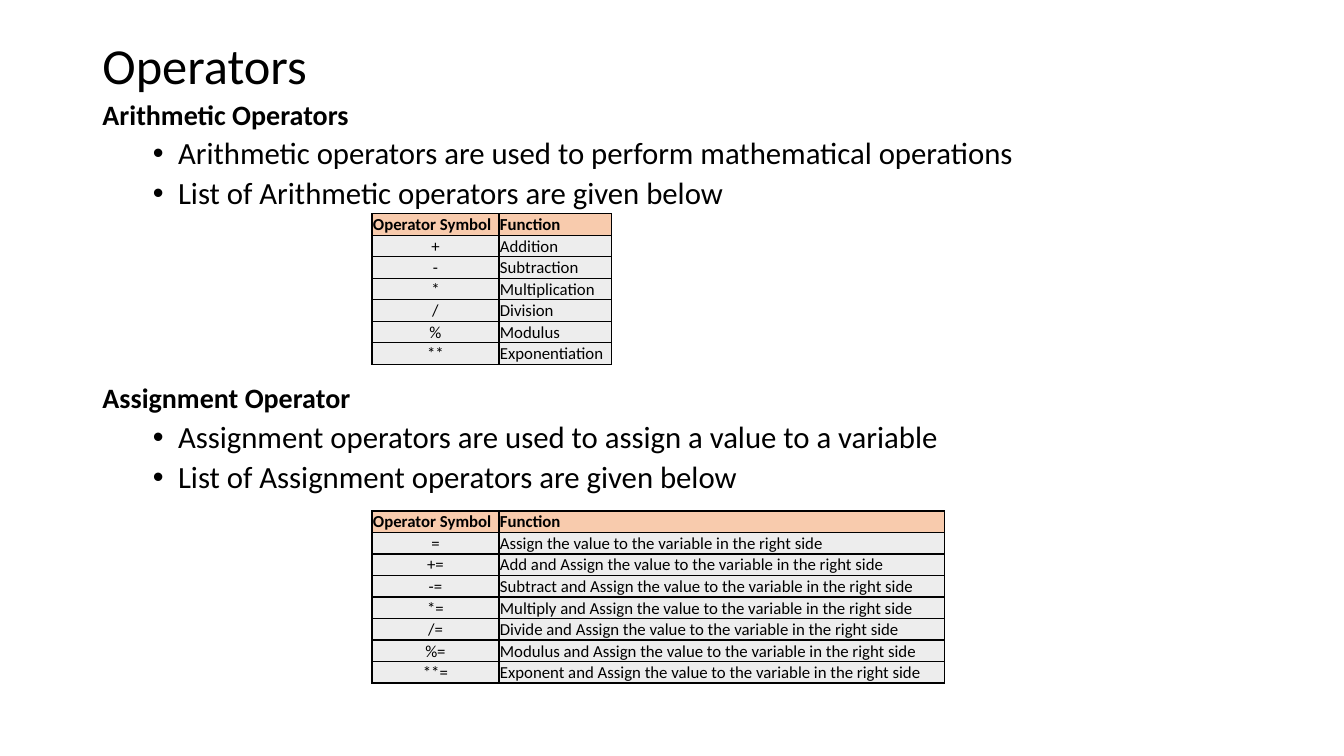
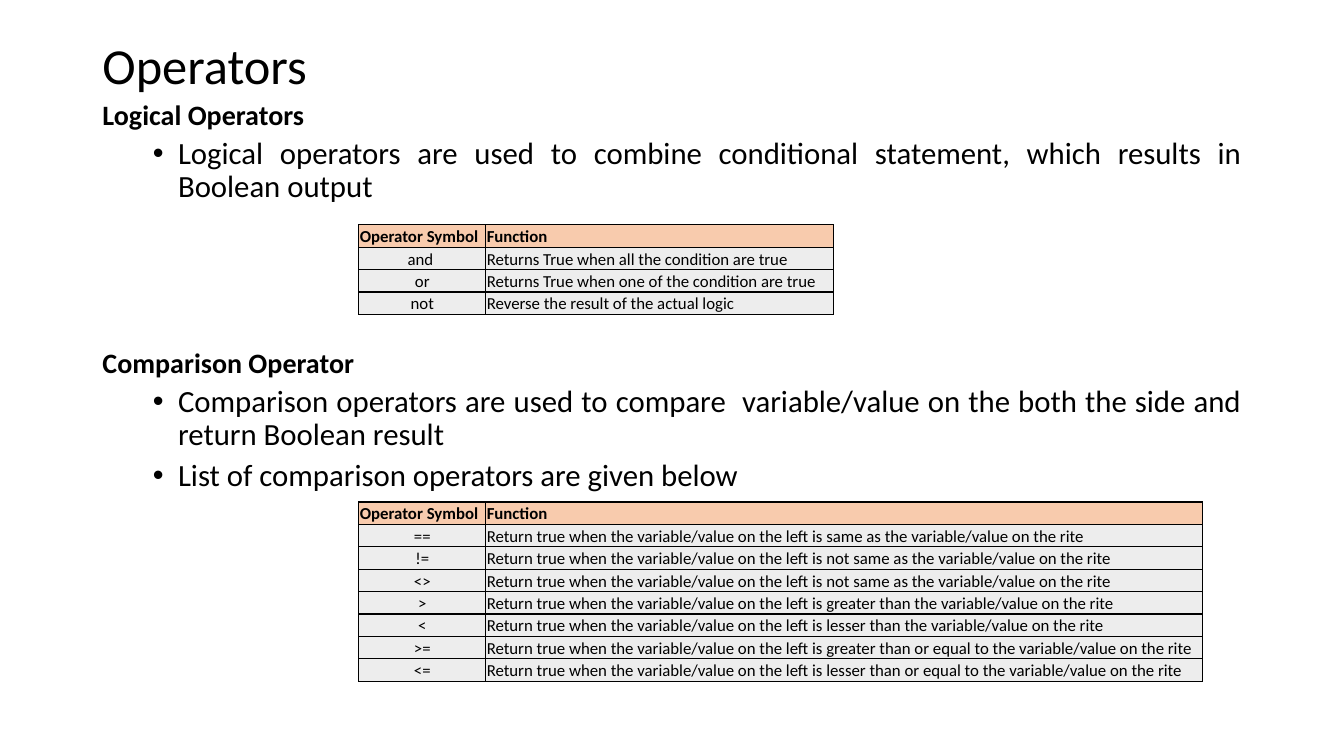
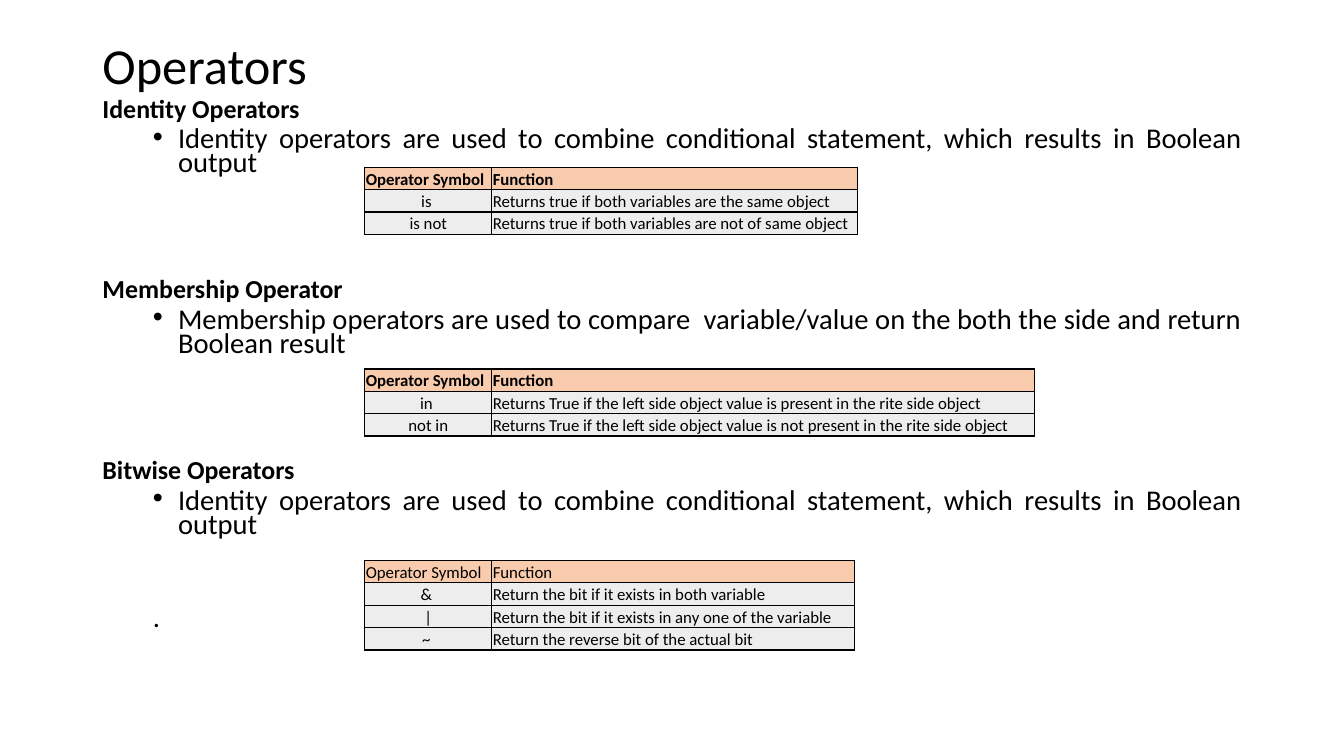
from lxml.etree import SubElement
from pptx import Presentation
from pptx.dml.color import RGBColor
from pptx.enum.text import MSO_ANCHOR, MSO_AUTO_SIZE, PP_ALIGN
from pptx.oxml.ns import qn
from pptx.util import Pt

COLORS = {"text": "000000", "border": "000000", "header": "F8CBAD", "row": "EDEDED"}
FONT = "Calibri"
TITLE_BOX = (66, 28.8, 828, 39.6)
BODY_BOX = (66, 68.4, 828, 418.3)
SYMBOL_WIDTH = 90.7
HEADER = ("Operator Symbol", "Function")


def color(name):
    return RGBColor.from_string(COLORS[name])


def format_runs(para, size, bold=False):
    for span in para.runs:
        span.font.name = FONT
        span.font.size = Pt(size)
        span.font.bold = bold
        span.font.color.rgb = color("text")


def place(shape, box):
    shape.left, shape.top, shape.width, shape.height = (Pt(length) for length in box)
    shape.text_frame.word_wrap = True
    shape.text_frame.auto_size = MSO_AUTO_SIZE.NONE


def set_bullet(para, left, hanging=0, bullet=None):
    properties = para._p.get_or_add_pPr()
    properties.set("marL", str(Pt(left)))
    properties.set("indent", str(-Pt(hanging)))
    if bullet:
        SubElement(properties, qn("a:buFont")).set("typeface", "Arial")
        SubElement(properties, qn("a:buChar")).set("char", bullet)
    else:
        SubElement(properties, qn("a:buNone"))


def add_title(page, box, text):
    title = page.shapes.title
    place(title, box)
    title.text_frame.text = text
    title.text_frame.vertical_anchor = MSO_ANCHOR.MIDDLE
    para = title.text_frame.paragraphs[0]
    para.alignment = PP_ALIGN.LEFT
    para.line_spacing = 0.9
    format_runs(para, 36)


def add_body(page, box, style, sections, closing=None):
    """Write headings with bullets; later headings leave a gap for a table."""
    body = page.placeholders[1]
    place(body, box)
    frame = body.text_frame
    frame.vertical_anchor = MSO_ANCHOR.TOP

    def add_line(para, text, size, before, level=0, bold=False):
        para.text = text
        para.level = level
        para.alignment = PP_ALIGN.JUSTIFY
        para.line_spacing = style["spacing"]
        para.space_before = Pt(before)
        para.space_after = Pt(0)
        format_runs(para, size, bold)
        return para

    for index, (heading, *bullets) in enumerate(sections):
        para = frame.add_paragraph() if index else frame.paragraphs[0]
        before = style["gap"] if index else 10
        set_bullet(add_line(para, heading, style["heading"], before, bold=True), 0)
        for text in bullets:
            para = add_line(frame.add_paragraph(), text, style["bullet"], 5, level=1)
            set_bullet(para, 54, 18, "•")
    if closing:
        para = add_line(frame.add_paragraph(), closing, style["bullet"], 49.8, level=1)
        set_bullet(para, 36)


def add_borders(cell):
    properties = cell._tc.get_or_add_tcPr()
    for side in ("a:lnL", "a:lnR", "a:lnT", "a:lnB"):
        line = SubElement(properties, qn(side), w=str(Pt(1)))
        fill = SubElement(line, qn("a:solidFill"))
        SubElement(fill, qn("a:srgbClr")).set("val", COLORS["border"])


def fill_cell(cell, text, fill, align, bold):
    cell.margin_left = cell.margin_right = cell.margin_top = Pt(0.72)
    cell.margin_bottom = Pt(0)
    cell.vertical_anchor = MSO_ANCHOR.BOTTOM
    add_borders(cell)
    cell.fill.solid()
    cell.fill.fore_color.rgb = color(fill)
    cell.text_frame.text = text
    para = cell.text_frame.paragraphs[0]
    para.alignment = align
    format_runs(para, 12, bold)


def add_operator_table(page, left, top, function_width, row_height, rows, bold_header=True):
    lines = [HEADER, *rows]
    frame = page.shapes.add_table(len(lines), 2, Pt(left), Pt(top),
                                  Pt(SYMBOL_WIDTH + function_width),
                                  Pt(row_height * len(lines)))
    table = frame.table
    table.first_row = table.horz_banding = False
    table.columns[0].width = Pt(SYMBOL_WIDTH)
    table.columns[1].width = Pt(function_width)
    for row_index, line in enumerate(lines):
        table.rows[row_index].height = Pt(row_height)
        is_header = row_index == 0
        for column, text in enumerate(line):
            centred = column == 0 and not is_header
            fill_cell(table.cell(row_index, column), text,
                      "header" if is_header else "row",
                      PP_ALIGN.CENTER if centred else PP_ALIGN.LEFT,
                      is_header and bold_header)


def add_operator_page(deck, content):
    page = deck.slides.add_slide(deck.slide_layouts[1])
    add_title(page, TITLE_BOX, "Operators")
    add_body(page, BODY_BOX, content["style"], content["sections"], content.get("closing"))
    for table in content["tables"]:
        add_operator_table(page, content["table_left"], row_height=content["row_height"], **table)


# Table rows
ARITHMETIC = [("+", "Addition"), ("-", "Subtraction"), ("*", "Multiplication"),
              ("/", "Division"), ("%", "Modulus"), ("**", "Exponentiation")]
ASSIGNMENT = [(symbol, f"{action} the value to the variable in the right side")
              for symbol, action in [
                  ("=", "Assign"), ("+=", "Add and Assign"),
                  ("-=", "Subtract and Assign"), ("*=", "Multiply and Assign"),
                  ("/=", "Divide and Assign"), ("%=", "Modulus and Assign"),
                  ("**=", "Exponent and Assign")]]
LOGICAL = [("and\u00a0", "Returns True when all the condition are true"),
           ("or", "Returns True when one of the condition are true"),
           ("not", "Reverse the result of the actual logic")]
COMPARISON = [(symbol, "Return true when the variable/value on the left is "
               f"{relation} the variable/value on the rite")
              for symbol, relation in [
                  ("==", "same as"), ("!=", "not same as"), ("<>", "not same as"),
                  (">", "greater than"), ("<", "lesser than"),
                  (">=", "greater than or equal to"),
                  ("<=", "lesser than or equal to")]]
IDENTITY = [("is\u00a0", "Returns true if both variables are the same object"),
            ("is not", "Returns true if both variables are not of same object")]
MEMBERSHIP = [(symbol, f"Returns True if the left side object value is {state} "
               "in the rite side object")
              for symbol, state in [("in\u00a0", "present"), ("not in", "not present")]]
BITWISE = [("&\u00a0", "Return the bit if it exists in both variable"),
           ("|", "Return the bit if it exists in any one of the variable"),
           ("~\u00a0", "Return the reverse bit of the actual bit")]

# Sentences used under several headings
COMBINE = "operators are used to combine conditional statement, which results in Boolean output"
COMPARE = ("operators are used to compare  variable/value on the both the side "
           "and return Boolean result")

NORMAL = {"heading": 20, "bullet": 22, "spacing": 0.9}
COMPACT = {"heading": 18.5, "bullet": 20.4, "spacing": 0.7, "gap": 74.2}

PAGES = [
    {"style": {**NORMAL, "gap": 123.5}, "table_left": 265.7, "row_height": 15.12,
     "sections": [
         ("Arithmetic Operators",
          "Arithmetic operators are used to perform mathematical operations",
          "List of Arithmetic operators are given below"),
         ("Assignment Operator",
          "Assignment operators are used to assign a value to a variable",
          "List of Assignment operators are given below")],
     "tables": [{"top": 152.6, "function_width": 80.3, "rows": ARITHMETIC},
                {"top": 365, "function_width": 318.2, "rows": ASSIGNMENT}]},
    {"style": {**NORMAL, "gap": 103.1}, "table_left": 256.3, "row_height": 16,
     "sections": [
         ("Logical Operators", f"Logical {COMBINE}"),
         ("Comparison Operator", f"Comparison {COMPARE}",
          "List of comparison operators are given below")],
     "tables": [{"top": 160.6, "function_width": 248.4, "rows": LOGICAL},
                {"top": 358.6, "function_width": 512, "rows": COMPARISON}]},
    {"style": COMPACT, "table_left": 260.6, "row_height": 16, "closing": ".",
     "sections": [
         ("Identity Operators", f"Identity {COMBINE}"),
         ("Membership Operator", f"Membership {COMPARE}"),
         ("Bitwise Operators", f"Identity {COMBINE}")],
     "tables": [{"top": 119.5, "function_width": 261, "rows": IDENTITY},
                {"top": 263.5, "function_width": 387.4, "rows": MEMBERSHIP},
                {"top": 400.3, "function_width": 259.2, "rows": BITWISE,
                 "bold_header": False}]},
]

deck = Presentation()
deck.slide_width, deck.slide_height = Pt(960), Pt(540)
for content in PAGES:
    add_operator_page(deck, content)
deck.save("out.pptx")
